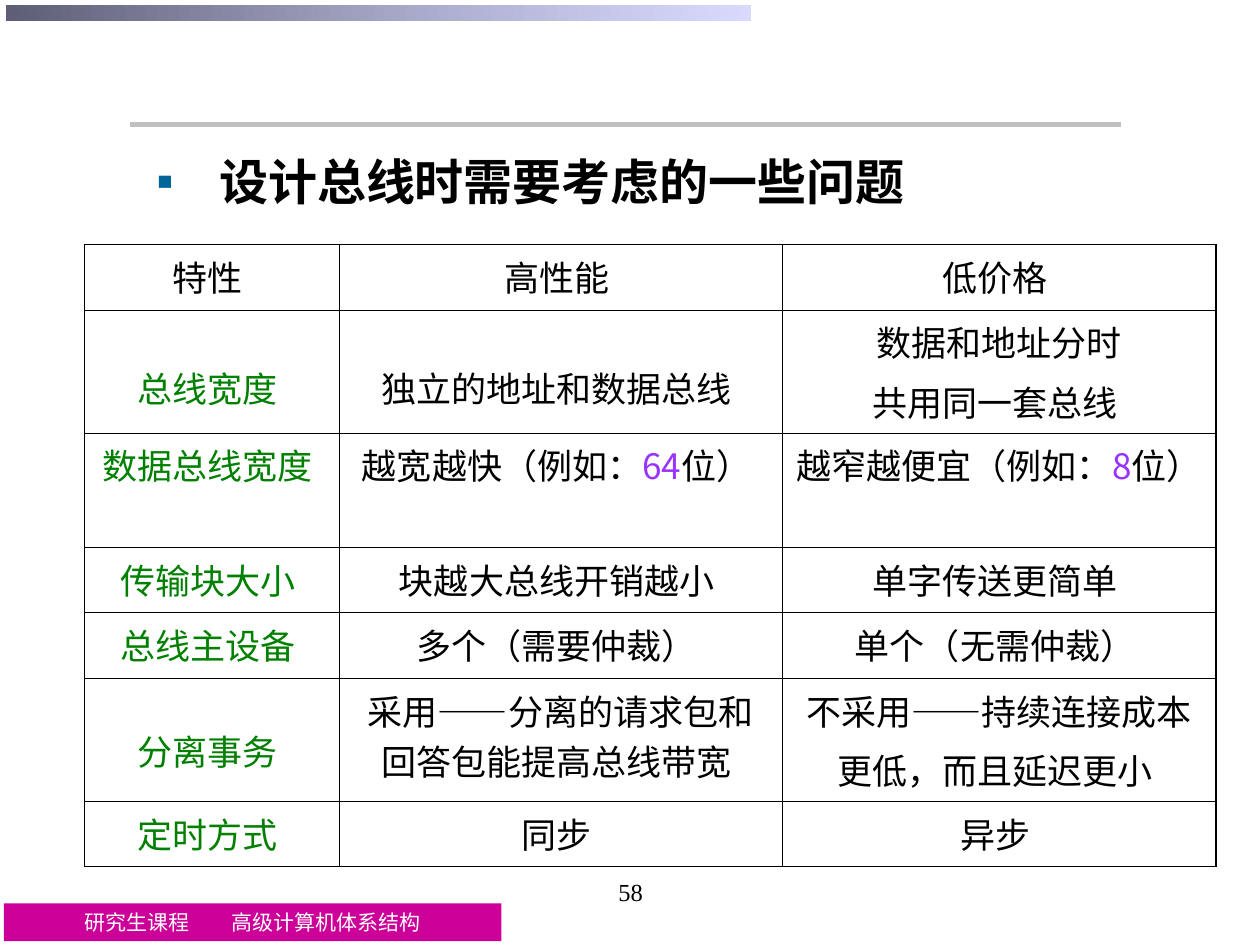
from lxml.etree import SubElement
from pptx import Presentation
from pptx.dml.color import RGBColor
from pptx.enum.shapes import MSO_CONNECTOR, MSO_SHAPE
from pptx.enum.text import MSO_ANCHOR, MSO_AUTO_SIZE, PP_ALIGN
from pptx.oxml.ns import qn
from pptx.util import Inches, Pt

COLORS = {
    "text": "000000", "label": "008000", "number": "9933FF", "bullet": "006699",
    "footer": "CC0099", "white": "FFFFFF", "rule": "C0C0C0",
    "bar_dark": "5E5E76", "bar_light": "CCCCFF",
}
SERIF, SANS = "Times New Roman", "Noto Sans CJK SC"
OUTER, INNER = Pt(1.08), Pt(0.45)

COLUMNS = [2.02, 3.52, 3.44]
# Each cell is a list of paragraphs; a tuple holds runs, the second one a number.
ROWS = [
    (0.52, [["特性 "], ["高性能 "], ["低价格 "]]),
    (0.84, [["总线宽度 "], ["独立的地址和数据总线 "], ["数据和地址分时", "共用同一套总线 "]]),
    (0.77, [["数据总线宽度 "], [("越宽越快（例如：", "64", "位） ")],
            [("越窄越便宜（例如：", "8", "位） ")]]),
    (0.52, [["传输块大小 "], ["块越大总线开销越小 "], ["单字传送更简单 "]]),
    (0.52, [["总线主设备 "], ["多个（需要仲裁） "], ["单个（无需仲裁） "]]),
    (0.84, [["分离事务 "], ["采用——分离的请求包和回答包能提高总线带宽 "],
            ["不采用——持续连接成本", "更低，而且延迟更小 "]]),
    (0.52, [["定时方式 "], ["同步 "], ["异步 "]]),
]
LINE_SPACING = {(1, 0): 1.9, (1, 1): 1.9, (5, 0): 1.8}


def rgb(name):
    return RGBColor.from_string(COLORS[name])


def add_run(p, text, color, **formats):
    r = p.add_run()
    r.text = text
    r.font.color.rgb = rgb(color)
    for name, value in formats.items():
        setattr(r.font, name, value)
    return r


def set_frame(tf, **formats):
    settings = {"word_wrap": True, "auto_size": MSO_AUTO_SIZE.NONE,
                "vertical_anchor": MSO_ANCHOR.TOP} | formats
    for name, value in settings.items():
        setattr(tf, name, value)


def add_block(slide, box):
    sp = slide.shapes.add_shape(MSO_SHAPE.RECTANGLE, *map(Inches, box))
    sp.shadow.inherit = False
    sp.line.fill.background()
    return sp


def add_top_bar(slide, box):
    fill = add_block(slide, box).fill
    fill.gradient()
    fill.gradient_angle = 0
    for stop, name in zip(fill.gradient_stops, ("bar_dark", "bar_light")):
        stop.color.rgb = rgb(name)
    light = fill._fill._gradFill.findall(".//" + qn("a:srgbClr"))[-1]
    SubElement(light, qn("a:alpha"), val="72000")


def add_rule(slide, left, top, width):
    line = slide.shapes.add_connector(
        MSO_CONNECTOR.STRAIGHT, *map(Inches, (left, top, left + width, top)))
    line.line.color.rgb = rgb("rule")
    line.line.width = Pt(2.75)
    SubElement(line._element.spPr, qn("a:effectLst"))


def add_footer(slide, box):
    sp = add_block(slide, box)
    sp.fill.solid()
    sp.fill.fore_color.rgb = rgb("footer")
    set_frame(sp.text_frame)
    p = sp.text_frame.paragraphs[0]
    p.alignment = PP_ALIGN.CENTER
    for text in ("研究生课程", " ", "高级计算机体系结构"):
        r = add_run(p, text, "white", size=Pt(12), name=SERIF)
        if text == " ":
            r.font._element.set("spc", "2100")  # widens the gap between the two names


def add_page_number(slide, box, number):
    tf = slide.shapes.add_textbox(*map(Inches, box)).text_frame
    set_frame(tf)
    p = tf.paragraphs[0]
    p.alignment = PP_ALIGN.CENTER
    add_run(p, number, "text", size=Pt(14), name=SERIF)


def fill_body(slide, box, text):
    body = slide.placeholders[1]
    body.left, body.top, body.width, body.height = map(Inches, box)
    set_frame(body.text_frame)
    p = body.text_frame.paragraphs[0]
    pPr = p._p.get_or_add_pPr()
    pPr.set("marL", str(Inches(0.5)))
    pPr.set("indent", str(-Inches(0.5)))
    bullet_color = SubElement(pPr, qn("a:buClr"))
    SubElement(bullet_color, qn("a:srgbClr"), val=COLORS["bullet"])
    SubElement(pPr, qn("a:buChar"), char="▪")
    p.space_before = Pt(0)
    add_run(p, text, "text", size=Pt(28), name=SERIF, bold=True)


def set_borders(cell, widths):
    tcPr = cell._tc.get_or_add_tcPr()
    for side, width in zip("LRTB", widths):
        ln = SubElement(tcPr, qn(f"a:ln{side}"), w=str(width))
        solid = SubElement(ln, qn("a:solidFill"))
        SubElement(solid, qn("a:srgbClr"), val=COLORS["text"])


def fill_cell(cell, paragraphs, color, line_spacing):
    tf = cell.text_frame
    for i, runs in enumerate(paragraphs):
        p = tf.add_paragraph() if i else tf.paragraphs[0]
        p.alignment = PP_ALIGN.CENTER
        if i:
            p.space_before = Pt(5)
        if line_spacing:
            p.line_spacing = line_spacing
        for j, text in enumerate((runs,) if isinstance(runs, str) else runs):
            r = add_run(p, text, "number" if j == 1 else color, size=Pt(20), name=SANS)
            SubElement(r.font._element, qn("a:ea"), typeface=SANS)


def add_comparison_table(slide, left, top):
    heights = [height for height, _ in ROWS]
    size = (sum(COLUMNS), sum(heights))
    table = slide.shapes.add_table(
        len(ROWS), len(COLUMNS), *map(Inches, (left, top, *size))).table
    table.first_row = table.horz_banding = False
    for column, width in zip(table.columns, COLUMNS):
        column.width = Inches(width)
    last_row, last_col = len(ROWS) - 1, len(COLUMNS) - 1
    for i, (height, cells) in enumerate(ROWS):
        table.rows[i].height = Inches(height)
        for j, paragraphs in enumerate(cells):
            cell = table.cell(i, j)
            edges = (j == 0, j == last_col, i == 0, i == last_row)
            set_borders(cell, [OUTER if edge else INNER for edge in edges])
            cell.fill.background()
            for side in ("left", "right"):
                setattr(cell, f"margin_{side}", Inches(0.1))
            color = "label" if i and j == 0 else "text"
            fill_cell(cell, paragraphs, color, LINE_SPACING.get((i, j)))


def main():
    prs = Presentation()
    prs.slide_width, prs.slide_height = Inches(10), Inches(7.5)
    slide = prs.slides.add_slide(prs.slide_layouts[1])
    title = slide.shapes.title._element
    title.getparent().remove(title)
    add_footer(slide, (0.03, 7.17, 3.95, 0.3))
    add_top_bar(slide, (0.05, 0.04, 5.91, 0.12))
    add_rule(slide, 1.03, 0.99, 7.87)
    add_page_number(slide, (3.42, 6.91, 3.17, 0.5), "58")
    fill_body(slide, (1.14, 1.15, 6.85, 0.71), "设计总线时需要考虑的一些问题")
    add_comparison_table(slide, 0.67, 1.94)
    prs.save("out.pptx")


if __name__ == "__main__":
    main()
